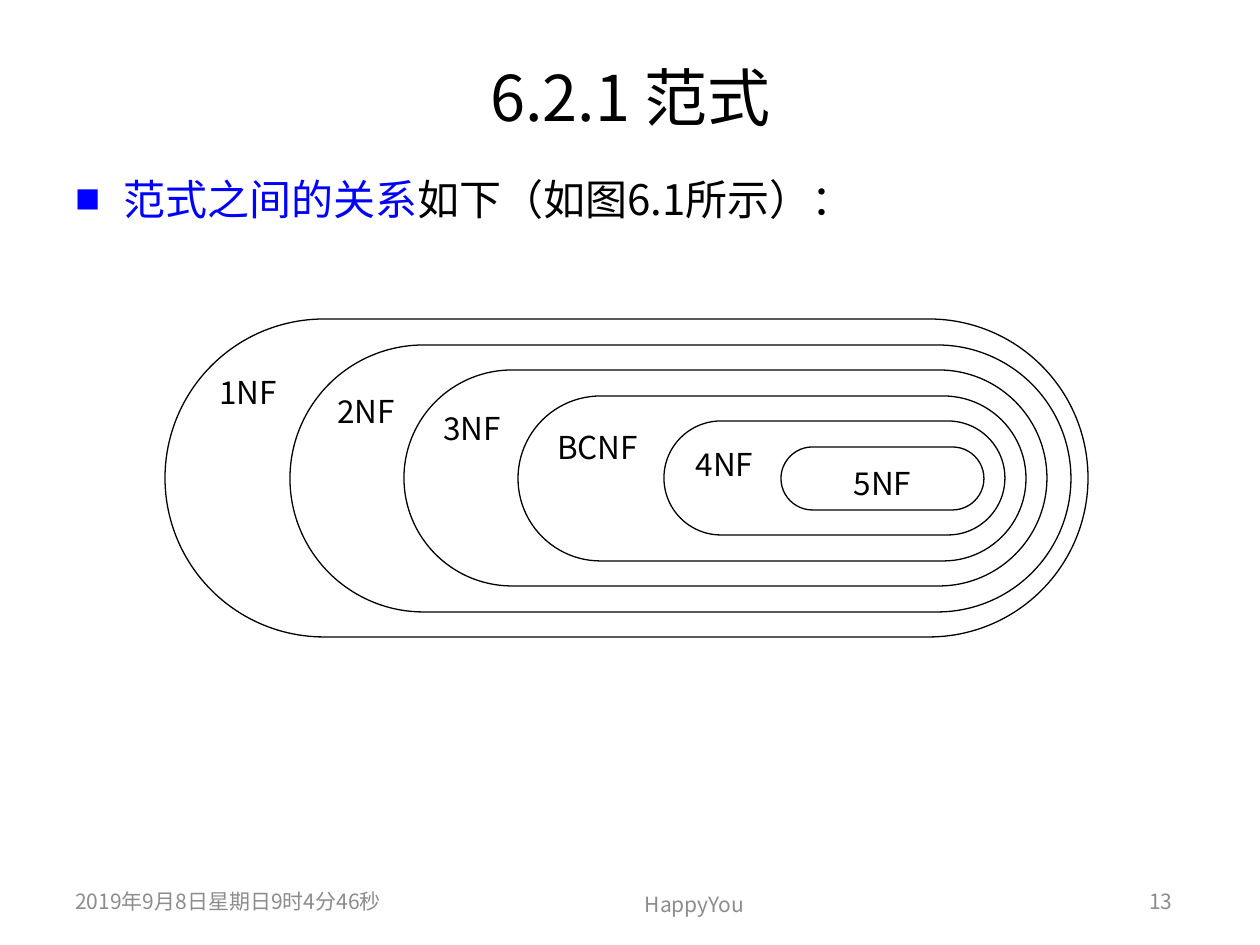
from lxml.etree import SubElement
from pptx import Presentation
from pptx.dml.color import RGBColor
from pptx.enum.shapes import MSO_SHAPE
from pptx.enum.text import MSO_ANCHOR, PP_ALIGN
from pptx.oxml.ns import qn
from pptx.util import Pt

FONT = "Noto Sans CJK SC"
COLORS = {"ink": "000000", "key": "0000FF", "mute": "8C8C8C", "paper": "FFFFFF"}
SCALE = 914400 / 126


def px(num):
    return round(num * SCALE)


def rgb(name):
    return RGBColor.from_string(COLORS[name])


def write(frame, *parts, size=12, color="ink", align=PP_ALIGN.LEFT,
          anchor=MSO_ANCHOR.MIDDLE, lead=None, left=0, indent=0, bullet=None):
    frame.word_wrap = True
    frame.vertical_anchor = anchor
    para = frame.paragraphs[0]
    para.alignment = align
    if lead:
        para.line_spacing = Pt(lead)
    props = para._p.get_or_add_pPr()
    props.set("marL", str(px(left)))
    props.set("indent", str(px(indent)))
    if bullet:
        SubElement(props, qn("a:buSzPct"), val="60000")
        SubElement(props, qn("a:buFont"), typeface=FONT)
        SubElement(props, qn("a:buChar"), char=bullet)
    for part in parts:
        text, tint = part if isinstance(part, tuple) else (part, color)
        run = para.add_run()
        run.text = text
        run.font.size = Pt(size)
        run.font.name = FONT
        run.font.color.rgb = rgb(tint)
        SubElement(run._r.get_or_add_rPr(), qn("a:ea"), typeface=FONT)


class Deck:
    def __init__(self, wide, high):
        self.prs = Presentation()
        self.prs.slide_width = px(wide)
        self.prs.slide_height = px(high)
        self.slide = self.prs.slides.add_slide(self.prs.slide_layouts[6])

    def label(self, box, *parts, **style):
        shape = self.slide.shapes.add_textbox(*map(px, box))
        write(shape.text_frame, *parts, **style)

    def ring(self, box, text, **style):
        shape = self.slide.shapes.add_shape(MSO_SHAPE.ROUNDED_RECTANGLE, *map(px, box))
        shape.adjustments[0] = 0.5
        shape.shadow.inherit = False
        shape.fill.solid()
        shape.fill.fore_color.rgb = rgb("paper")
        shape.line.color.rgb = rgb("ink")
        shape.line.width = Pt(0.75)
        frame = shape.text_frame
        frame.margin_left = frame.margin_right = 0
        frame.margin_top = frame.margin_bottom = 0
        write(frame, text, size=18, lead=26, anchor=MSO_ANCHOR.TOP, **style)


def main():
    deck = Deck(1260, 945)
    deck.label((64, 45, 1133, 97), "6.2.1 范式", size=36, lead=46, align=PP_ALIGN.CENTER)
    deck.label((63, 155, 1134, 100), ("范式之间的关系", "key"), "如下（如图6.1所示）：",
               size=24, lead=36, anchor=MSO_ANCHOR.TOP, left=48, indent=-48, bullet="■")

    forms = [
        ("1NF", 165, 923, 8), ("2NF", 290, 781, 8), ("3NF", 404, 643, 8),
        ("BCNF", 518, 508, 15), ("4NF", 664, 341, 15), ("5NF", 781, 203, 0),
    ]
    for i, (name, left, wide, indent) in enumerate(forms):
        high = 318 - 51 * i
        align = PP_ALIGN.LEFT if indent else PP_ALIGN.CENTER
        deck.ring((left, 478 - high // 2, wide, high), name, indent=indent, align=align)

    feet = [
        ((63, 876, 378, 50), "2019年9月8日星期日9时4分46秒", PP_ALIGN.LEFT),
        ((540, 879, 309, 50), "HappyYou", PP_ALIGN.CENTER),
        ((903, 876, 282, 50), "13", PP_ALIGN.RIGHT),
    ]
    for box, text, align in feet:
        deck.label(box, text, color="mute", align=align)
    deck.prs.save("out.pptx")


if __name__ == "__main__":
    main()
